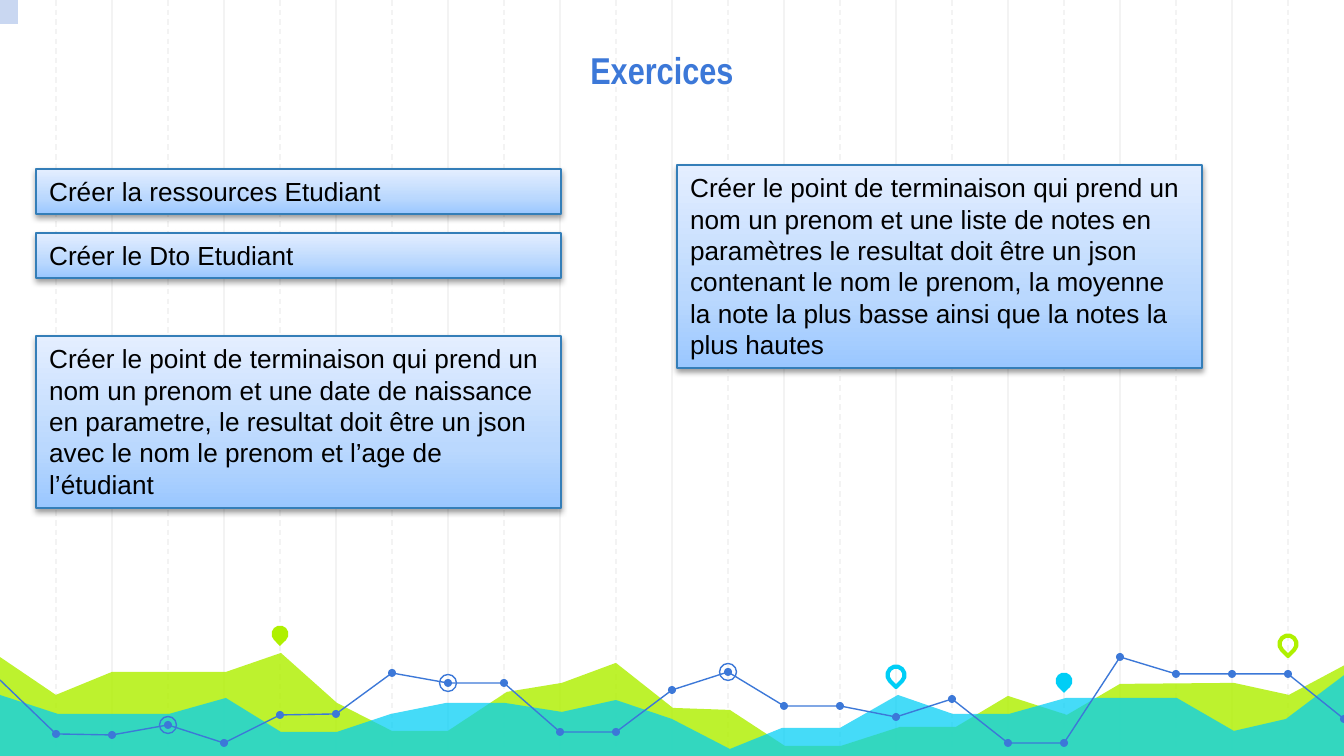
"""Build the "Exercices" slide: four task cards above a decorative chart skyline."""
import pptx
import pptx.util
import pptx.dml.color
import pptx.enum.dml
import pptx.enum.shapes
import pptx.enum.text
import pptx.oxml.ns
import lxml.etree

PX = 914400 / 134.4
WIDTH, HEIGHT, STEP = 1344, 756, 56
DOT, MARKER = 8, 17
COLORS = {
    "grid": "F3F3F3", "green": "AFF000", "cyan": "00CEF6", "blue": "3C78D8",
    "tab": "C9D7F1", "border": "347EB8", "black": "000000",
}
CARD_STOPS = [(0, "9AC7FF"), (35, "BAD8FE"), (100, "E4EEFF")]

GREEN_AREA = [
    (-3, 655), (56, 695), (112, 672), (226, 672), (281, 653), (337, 703),
    (392, 731), (448, 731), (507, 692), (562, 683), (616, 663), (673, 708),
    (730, 710), (785, 746), (841, 746), (900, 727), (956, 727), (1008, 696),
    (1067, 715), (1120, 684), (1234, 683), (1289, 695), (1347, 664),
    (1347, 758), (-4, 758),
]
CYAN_AREA = [
    (-3, 694), (58, 714), (169, 714), (226, 698), (281, 732), (337, 732),
    (391, 714), (446, 703), (505, 703), (562, 712), (616, 700), (672, 719),
    (730, 749), (782, 728), (840, 728), (898, 695), (953, 714), (1009, 714),
    (1066, 698), (1177, 698), (1234, 731), (1286, 719), (1347, 673),
    (1347, 759), (-4, 759),
]
TREND_HEIGHTS = [
    680, 734, 735, 725, 743, 715, 714, 673, 683, 683, 732, 732, 690,
    672, 706, 706, 717, 699, 743, 743, 657, 674, 674, 674, 719,
]
TREND = [(index * STEP, y) for index, y in enumerate(TREND_HEIGHTS)]
TREND_PARTS = [(0, 11), (11, 20), (20, 24)]
HALO_INDEXES = [8, 3, 13]
PINS = [
    (280, 634, "green", True), (896, 675, "cyan", False),
    (1064, 681, "cyan", True), (1288, 644, "green", False),
]
CARDS = [
    (36, 169, 45, "Créer la ressources Etudiant"),
    (36, 233, 45, "Créer le Dto Etudiant"),
    (36, 336, 172, "Créer le point de terminaison qui prend un nom un prenom et une "
     "date de naissance en parametre, le resultat doit être un json avec le nom le "
     "prenom et l’age de l’étudiant"),
    (677, 165, 203, "Créer le point de terminaison qui prend un nom un prenom et une "
     "liste de notes en paramètres le resultat doit être un json contenant le nom le "
     "prenom, la moyenne la note la plus basse ainsi que la notes la plus hautes"),
]


def px(length):
    return pptx.util.Emu(round(length * PX))


def rgb(name):
    return pptx.dml.color.RGBColor.from_string(COLORS[name])


def add_xml(parent, tag, **attributes):
    values = {key: str(value) for key, value in attributes.items()}
    return lxml.etree.SubElement(parent, pptx.oxml.ns.qn(tag), values)


def style(shape, fill=None, line=None, weight=0.75, opacity=100):
    shape.shadow.inherit = False
    if fill:
        shape.fill.solid()
        shape.fill.fore_color.rgb = rgb(fill)
        if opacity < 100:
            color = shape._element.spPr.find(".//" + pptx.oxml.ns.qn("a:srgbClr"))
            add_xml(color, "a:alpha", val=opacity * 1000)
    else:
        shape.fill.background()
    if line:
        shape.line.color.rgb = rgb(line)
        shape.line.width = pptx.util.Pt(weight)
    else:
        shape.line.fill.background()


def add_preset(page, kind, left, top, width, height):
    preset = getattr(pptx.enum.shapes.MSO_SHAPE, kind)
    return page.shapes.add_shape(preset, px(left), px(top), px(width), px(height))


def add_centered(page, kind, x, y, size):
    return add_preset(page, kind, x - size / 2, y - size / 2, size, size)


def add_grid_line(page, x, dashed):
    line = page.shapes.add_connector(
        pptx.enum.shapes.MSO_CONNECTOR.STRAIGHT, px(x), 0, px(x), px(HEIGHT))
    line.line.color.rgb = rgb("grid")
    line.line.width = pptx.util.Pt(0.75)
    if dashed:
        line.line.dash_style = pptx.enum.dml.MSO_LINE.DASH
    add_xml(line._element.spPr, "a:effectLst")


def add_outline(page, points, closed):
    builder = page.shapes.build_freeform(*points[0], scale=PX)
    builder.add_line_segments(points[1:], close=closed)
    return builder.convert_to_shape()


def add_pin(page, x, y, color, filled):
    pin = add_centered(page, "TEAR", x, y, MARKER)
    pin.rotation = 135
    if filled:
        style(pin, fill=color)
    else:
        style(pin, line=color, weight=2.25)


def write(box, text, size, font, color, align, bold=False):
    frame = box.text_frame
    frame.text = text
    frame.word_wrap = True
    para = frame.paragraphs[0]
    para.alignment = align
    span = para.runs[0]
    span.font.size = pptx.util.Pt(size)
    span.font.name = font
    span.font.bold = bold
    span.font.color.rgb = rgb(color)
    return frame


def add_title(page, text):
    box = page.shapes.add_textbox(px(148), 0, px(1028), px(105))
    frame = write(box, text, 20, "Arial Narrow", "blue",
                  pptx.enum.text.PP_ALIGN.CENTER, bold=True)
    frame.vertical_anchor = pptx.enum.text.MSO_ANCHOR.BOTTOM
    frame.margin_top = frame.margin_bottom = pptx.util.Inches(0.1)


def add_card(page, left, top, height, text):
    card = add_preset(page, "RECTANGLE", left, top, 525, height)
    style(card, line="border")
    card.fill.gradient()
    card.fill.gradient_angle = 90
    properties = card._element.spPr
    stops = properties.find(".//" + pptx.oxml.ns.qn("a:gsLst"))
    stops.clear()
    for position, color in CARD_STOPS:
        stop = add_xml(stops, "a:gs", pos=position * 1000)
        add_xml(stop, "a:srgbClr", val=color)
    shadow = add_xml(properties.find(pptx.oxml.ns.qn("a:effectLst")), "a:outerShdw",
                     blurRad=pptx.util.Pt(3.1), dist=pptx.util.Pt(1.6),
                     dir=5400000, rotWithShape=0)
    shade = add_xml(shadow, "a:srgbClr", val=COLORS["black"])
    add_xml(shade, "a:alpha", val=38000)
    frame = write(card, text, 14, "Arial", "black", pptx.enum.text.PP_ALIGN.LEFT)
    frame.vertical_anchor = pptx.enum.text.MSO_ANCHOR.TOP
    frame.auto_size = pptx.enum.text.MSO_AUTO_SIZE.SHAPE_TO_FIT_TEXT


def add_skyline(page):
    style(add_outline(page, GREEN_AREA, True), fill="green", opacity=82)
    style(add_outline(page, CYAN_AREA, True), fill="cyan", opacity=73)
    for first, last in TREND_PARTS:
        style(add_outline(page, TREND[first:last + 1], False), line="blue")
    for x, y in TREND[1:]:
        style(add_centered(page, "OVAL", x, y, DOT), fill="blue")
    for index in HALO_INDEXES:
        style(add_centered(page, "OVAL", *TREND[index], MARKER), line="blue")
    for pin in PINS:
        add_pin(page, *pin)


def main():
    deck = pptx.Presentation()
    deck.slide_width, deck.slide_height = px(WIDTH), px(HEIGHT)
    page = deck.slides.add_slide(deck.slide_layouts[6])
    for start, dashed in ((2 * STEP, False), (STEP, True)):
        for x in range(start, WIDTH, 2 * STEP):
            add_grid_line(page, x, dashed)
    add_skyline(page)
    add_title(page, "Exercices")
    style(add_preset(page, "RECTANGLE", 0, -24, 18, 48), fill="tab")
    for card in CARDS:
        add_card(page, *card)
    deck.save("out.pptx")


if __name__ == "__main__":
    main()
